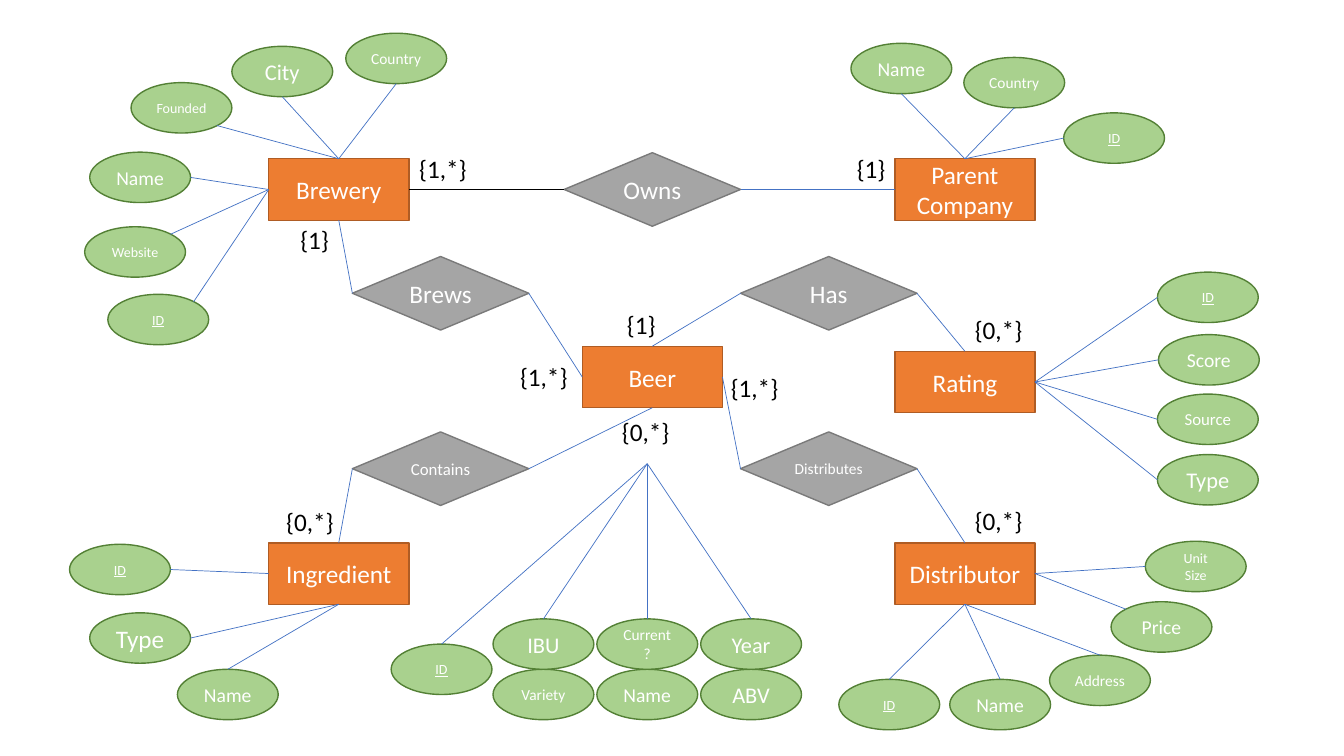
from lxml.etree import SubElement
from pptx import Presentation
from pptx.dml.color import RGBColor
from pptx.enum.shapes import MSO_CONNECTOR, MSO_SHAPE
from pptx.enum.text import MSO_ANCHOR, MSO_AUTO_SIZE, PP_ALIGN
from pptx.oxml.ns import qn
from pptx.util import Inches, Pt

COLORS = {
    "entity": "ED7D31", "entity_line": "AF5C24",
    "relation": "A5A5A5", "relation_line": "7A7A7A",
    "attribute": "A9D18E", "attribute_line": "538035",
    "link": "4472C4", "white": "FFFFFF", "black": "000000",
}
STYLES = {  # preset shape, width, height
    "entity": (MSO_SHAPE.RECTANGLE, 1.39, 0.61),
    "relation": (MSO_SHAPE.FLOWCHART_DECISION, 1.75, 0.73),
    "attribute": (MSO_SHAPE.OVAL, 1.0, 0.5),
}
# Share of width and height at which a line meets a shape
SITES = {
    "top": (0.5, 0), "left": (0, 0.5), "bottom": (0.5, 1), "right": (1, 0.5),
    "top left": (0.15, 0.15), "top right": (0.85, 0.15), "bottom right": (0.85, 0.85),
}
GLUE = {"top": 0, "left": 1, "bottom": 2, "right": 3}

# Grid of centres
LEFT, MID, RIGHT = 3.36, 6.47, 9.57
MID_LEFT, MID_RIGHT = 4.37, 8.22
ROW_1, ROW_2, ROW_3, ROW_4, ROW_5 = 1.88, 2.91, 3.74, 4.65, 5.69
HUB = (Inches(6.42), Inches(4.6))

prs = Presentation()
prs.slide_width, prs.slide_height = Inches(13.33), Inches(7.5)
s = prs.slides.add_slide(prs.slide_layouts[6])


def add_text(text, left, top, w=1.0, h=0.4, style=None, size=18, color="white", underline=False):
    """Add a text box, or a shape of the given style, and return it."""
    if style:
        preset, w, h = STYLES[style]
        sp = s.shapes.add_shape(preset, Inches(left), Inches(top), Inches(w), Inches(h))
        sp.shadow.inherit = False
        sp.fill.solid()
        sp.fill.fore_color.rgb = RGBColor.from_string(COLORS[style])
        sp.line.color.rgb = RGBColor.from_string(COLORS[style + "_line"])
        sp.line.width = Pt(1)
    else:
        sp = s.shapes.add_textbox(Inches(left), Inches(top), Inches(w), Inches(h))
    tf = sp.text_frame
    tf.text = text
    tf.word_wrap = True
    tf.auto_size = MSO_AUTO_SIZE.NONE if style else MSO_AUTO_SIZE.SHAPE_TO_FIT_TEXT
    tf.vertical_anchor = MSO_ANCHOR.MIDDLE if style else MSO_ANCHOR.TOP
    for p in tf.paragraphs:
        p.alignment = PP_ALIGN.CENTER if style else PP_ALIGN.LEFT
        for r in p.runs:
            r.font.name, r.font.size = "Calibri", Pt(size)
            r.font.color.rgb = RGBColor.from_string(COLORS[color])
            if underline:
                r.font.underline = True
    return sp


def add_link(start, start_site, end, end_site, color="link"):
    """Join two shapes at the named sites; without an end shape, go to the hub."""
    ends = [(start, start_site), (end, end_site)]
    points = [
        (int(sp.left + sp.width * SITES[site][0]), int(sp.top + sp.height * SITES[site][1]))
        if sp else HUB
        for sp, site in ends
    ]
    line = s.shapes.add_connector(MSO_CONNECTOR.STRAIGHT, *points[0], *points[1])
    for (sp, site), connect in zip(ends, (line.begin_connect, line.end_connect)):
        if sp and sp.auto_shape_type != MSO_SHAPE.OVAL:
            connect(sp, GLUE[site])
    line.line.color.rgb = RGBColor.from_string(COLORS[color])
    line.line.width = Pt(0.5)
    SubElement(line.element.spPr, qn("a:effectLst"))


# Entities
entities = {}
for name, x, y in [
    ("Parent Company", RIGHT, ROW_1), ("Beer", MID, ROW_3), ("Brewery", LEFT, ROW_1),
    ("Distributor", RIGHT, ROW_5), ("Ingredient", LEFT, ROW_5), ("Rating", RIGHT, ROW_3 + 0.05),
]:
    _, w, h = STYLES["entity"]
    entities[name] = add_text(name, x - w / 2, y - h / 2, style="entity")

# Relations, each with the entity and site at its left and right corners
for name, size, x, y, first, first_site, second, second_site in [
    ("Owns", 18, MID, ROW_1, "Brewery", "right", "Parent Company", "left"),
    ("Brews", 18, MID_LEFT, ROW_2, "Brewery", "bottom", "Beer", "left"),
    ("Contains", 12, MID_LEFT, ROW_4, "Ingredient", "top", "Beer", "bottom"),
    ("Distributes", 11, MID_RIGHT, ROW_4, "Beer", "right", "Distributor", "top"),
    ("Has", 18, MID_RIGHT, ROW_2, "Beer", "top", "Rating", "top"),
]:
    _, w, h = STYLES["relation"]
    sp = add_text(name, x - w / 2, y - h / 2, style="relation", size=size)
    add_link(sp, "left", entities[first], first_site, "black" if name == "Owns" else "link")
    add_link(sp, "right", entities[second], second_site)

# Cardinalities
WIDTHS = {"{1}": 0.5, "{0,*}": 0.7, "{1,*}": 0.76}
for text, left, top in [
    ("{1,*}", 4.06, 1.47), ("{1}", 8.4, 1.47), ("{0,*}", 9.57, 3.07), ("{1}", 2.88, 2.18),
    ("{0,*}", 2.74, 4.97), ("{1}", 6.12, 3.02), ("{0,*}", 9.57, 4.96), ("{1,*}", 7.15, 3.64),
    ("{1,*}", 5.06, 3.54), ("{0,*}", 6.07, 4.08),
]:
    add_text(text, left, top, w=WIDTHS[text], color="black")

# Attributes by entity: text, size, left, top, own site, entity site
ATTRIBUTES = {
    "Brewery": [
        ("Country", 11, 3.43, 0.33, "bottom", "top"),
        ("City", 16, 2.3, 0.46, "bottom", "top"),
        ("Founded", 10, 1.3, 0.82, "bottom right", "top"),
        ("Name", 14, 0.89, 1.51, "right", "left"),
        ("Website", 10, 0.84, 2.25, "top right", "left"),
        ("ID", 10, 1.07, 2.92, "top right", "left"),
    ],
    "Parent Company": [
        ("Name", 14, 8.44, 0.43, "bottom", "top"),
        ("Country", 11, 9.56, 0.57, "bottom", "top"),
        ("ID", 10, 10.55, 1.12, "left", "top"),
    ],
    "Rating": [
        ("ID", 10, 11.48, 2.7, "left", "right"),
        ("Score", 14, 11.49, 3.32, "left", "right"),
        ("Source", 12, 11.48, 3.91, "left", "right"),
        ("Type", 16, 11.48, 4.51, "left", "right"),
    ],
    "Distributor": [
        ("Unit\nSize", 10, 11.36, 5.37, "left", "right"),
        ("Price", 14, 11.02, 5.97, "top left", "right"),
        ("Address", 11, 10.41, 6.5, "top", "bottom"),
        ("Name", 14, 9.42, 6.74, "top", "bottom"),
        ("ID", 10, 8.32, 6.74, "top", "bottom"),
    ],
    "Ingredient": [
        ("ID", 10, 0.69, 5.4, "right", "left"),
        ("Type", 18, 0.89, 6.08, "right", "bottom"),
        ("Name", 14, 1.76, 6.64, "top", "bottom"),
    ],
    "hub": [("ID", 10, 3.88, 6.39, "top", None)],
}
for owner, attributes in ATTRIBUTES.items():
    for text, size, left, top, site, owner_site in attributes:
        sp = add_text(text, left, top, style="attribute", size=size, underline=text == "ID")
        add_link(sp, site, entities.get(owner), owner_site)

# Beer attributes in two rows of three; only the upper row is linked
for top, row in [
    (6.64, [("Variety", 11), ("Name", 14), ("ABV", 16)]),
    (6.14, [("IBU", 16), ("Current?", 11), ("Year", 16)]),
]:
    for col, (text, size) in enumerate(row):
        sp = add_text(text, 4.89 + 1.03 * col, top, style="attribute", size=size)
        if top == 6.14:
            add_link(sp, "top", None, None)

prs.save("out.pptx")
